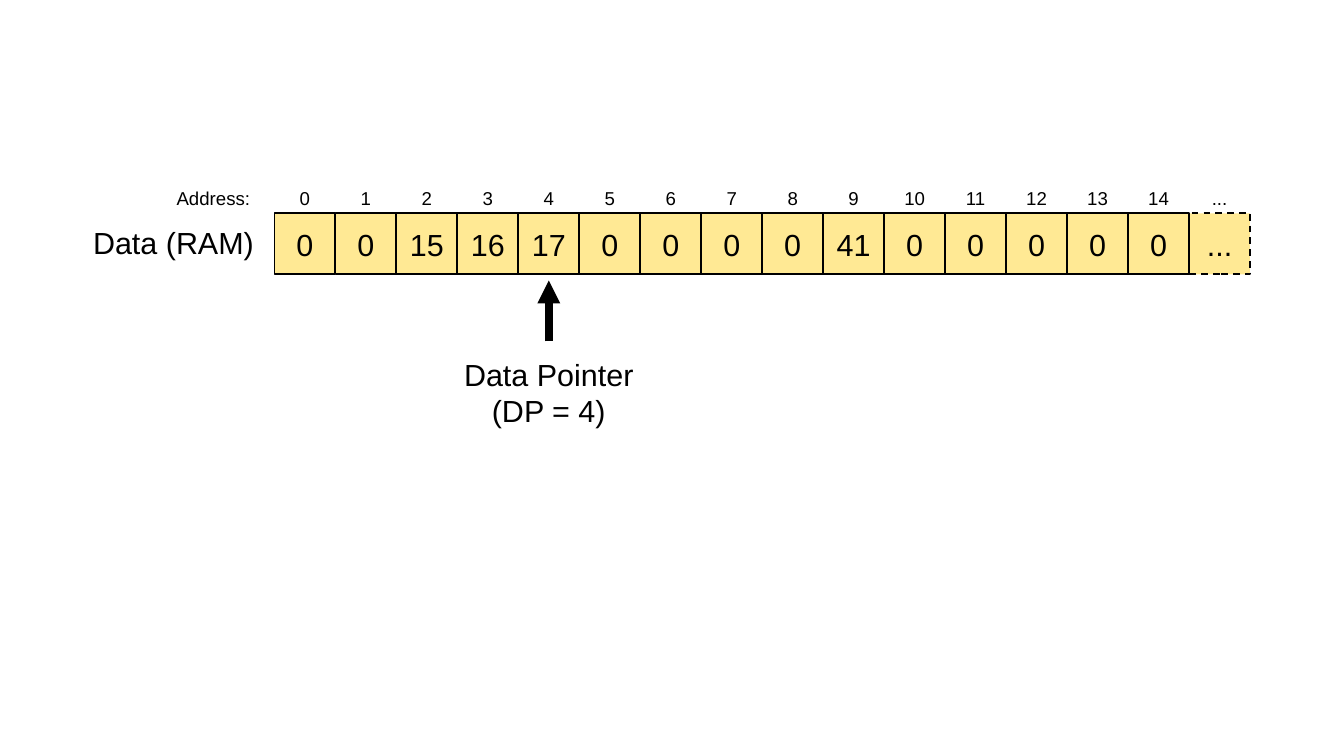
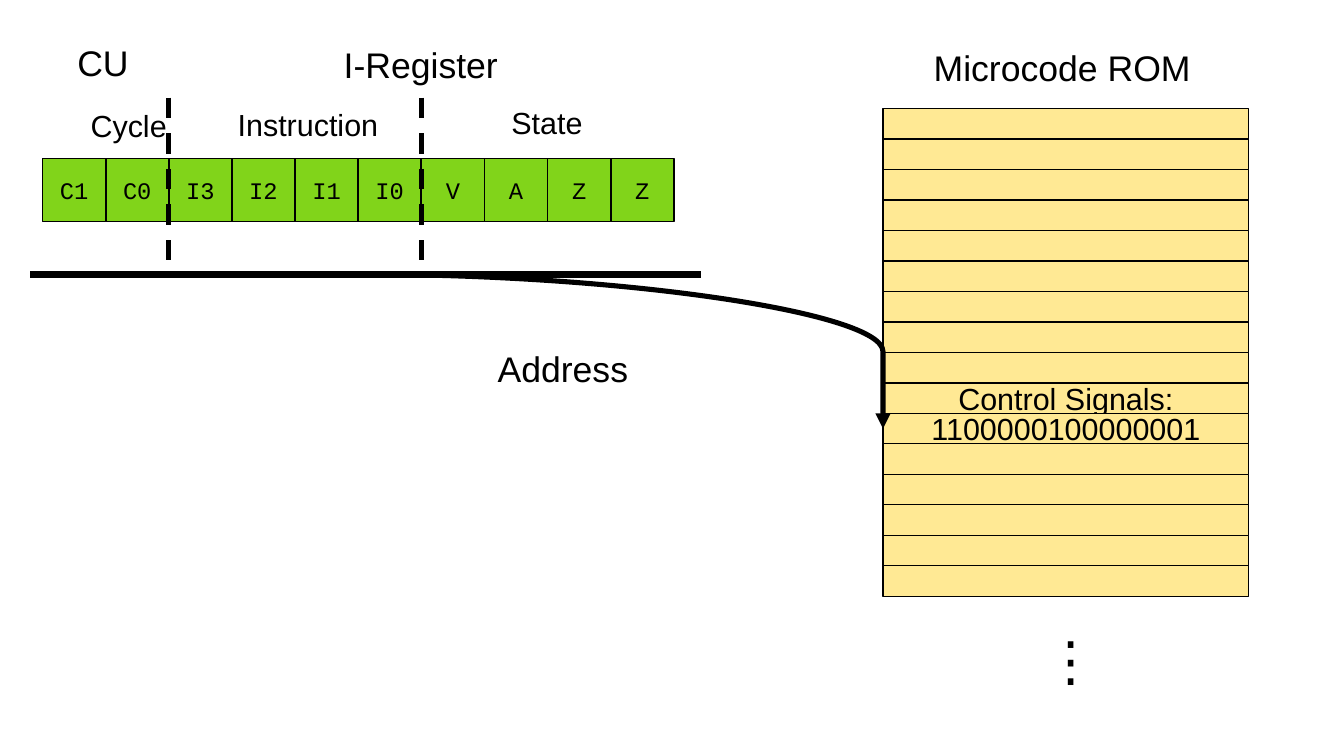
"""Builds two slides on memory: a RAM with its data pointer and a microcode ROM."""
from pptx import Presentation
from pptx.dml.color import RGBColor as Color
from pptx.enum.dml import MSO_LINE_DASH_STYLE as Dash
from pptx.enum.shapes import MSO_CONNECTOR as Connector, MSO_SHAPE as Shape
from pptx.enum.text import MSO_ANCHOR as Anchor, PP_ALIGN as Align
from pptx.oxml import parse_xml
from pptx.oxml.ns import nsdecls
from pptx.util import Inches, Pt

COLOURS = {"ink": "000000", "memory": "FFE994", "register": "81D41A"}
SANS, MONO = "Arial", "Courier New"
UNIT = 0.25
SMALL, BODY, HEADING, DOTS = 11, 18, 21, 32


def grid(*counts):
    """Turn counts of grid columns or rows into lengths."""
    return [Inches(count * UNIT) for count in counts]


def colour(name):
    """Look up a named colour."""
    return Color.from_string(COLOURS[name])


def write(frame, text, size, font=SANS):
    """Write centred text, one run per line."""
    frame.word_wrap = True
    para = frame.paragraphs[0]
    para.alignment = Align.CENTER
    for index, line in enumerate(text.split("\n")):
        if index:
            para.add_line_break()
        span = para.add_run()
        span.text = line
        span.font.size = Pt(size)
        span.font.name = font
        span.font.color.rgb = colour("ink")


def label(page, text, centre, top, width, size=BODY):
    """Add a text box centred on a grid column."""
    rows = 2.64 if "\n" in text else 1.8
    box = page.shapes.add_textbox(*grid(centre - width / 2, top, width, rows))
    write(box.text_frame, text, size)


def cell(shapes, place, fill, text="", size=BODY, font=SANS, weight=1, dash=None):
    """Add one memory cell."""
    box = shapes.add_shape(Shape.RECTANGLE, *grid(*place))
    box.shadow.inherit = False
    box.fill.solid()
    box.fill.fore_color.rgb = colour(fill)
    box.line.color.rgb = colour("ink")
    box.line.width = Pt(weight)
    if dash:
        box.line.dash_style = dash
    box.text_frame.vertical_anchor = Anchor.MIDDLE
    if text:
        write(box.text_frame, text, size, font)


def link(page, start, end, weight, kind=Connector.STRAIGHT, dash=None, arrow=False):
    """Add a line between two grid points."""
    line = page.shapes.add_connector(kind, *grid(*start, *end))
    line.line.color.rgb = colour("ink")
    line.line.width = Pt(weight)
    if dash:
        line.line.dash_style = dash
    if arrow:
        line.line._get_or_add_ln().append(
            parse_xml(f'<a:tailEnd {nsdecls("a")} type="triangle"/>'))
    line._element.spPr.append(parse_xml(f'<a:effectLst {nsdecls("a")}/>'))
    return line


def draw_ram(page):
    """Draw the addressed RAM cells and the data pointer."""
    values = [0, 0, 15, 16, 17, 0, 0, 0, 0, 41, 0, 0, 0, 0, 0]
    left, top, side, pointer = 9, 7, 2, 4
    last = len(values)
    cell(page.shapes, (left + last * side, top, side, side), "memory", "...", dash=Dash.DASH)
    for index, value in enumerate(values):
        cell(page.shapes, (left + index * side, top, side, side), "memory", str(value))
    for index, address in enumerate([*range(last), "..."]):
        label(page, str(address), left + (index + 0.5) * side, 5.92, side, SMALL)
    label(page, "Address:", 7, 5.92, 4, SMALL)
    label(page, "Data (RAM)", 5.69, 7.16, 7)
    centre = left + (pointer + 0.5) * side
    link(page, (centre, 11.2), (centre, 9.2), 4.5, arrow=True)
    label(page, f"Data Pointer\n(DP = {pointer})", centre, 11.48, 8)


def draw_register(page):
    """Draw the instruction register with its three fields."""
    left, top, side = 1.4, 5.2, 2.07
    group = page.shapes.add_group_shape()
    for index, bit in enumerate("C1 C0 I3 I2 I1 I0 V A Z Z".split()):
        cell(group.shapes, (left + index * side, top, side, side), "register", bit, 14, MONO)
    for count in (2, 6):
        border = left + count * side
        link(page, (border, 3.2), (border, 8.8), 3, dash=Dash.DASH)
    label(page, "CU", 3.38, 1.16, 4, HEADING)
    label(page, "I-Register", 13.8, 1.2, 8, HEADING)
    label(page, "Cycle", 4.22, 3.32, 5)
    label(page, "Instruction", 10.1, 3.28, 7)
    label(page, "State", 17.94, 3.2, 5)


def draw_rom(page):
    """Draw the microcode ROM and the address that selects a word."""
    left, top, width, count, selected = 28.96, 3.56, 12, 16, 10
    signals = {selected - 1: "Control Signals:", selected: "1100000100000001"}
    for index in range(count):
        cell(page.shapes, (left, top + index, width, 1), "memory",
             signals.get(index, ""), weight=0)
    label(page, "Microcode ROM", 34.84, 1.32, width, HEADING)
    label(page, "⋮", 35.12, 20.36, 3, DOTS)
    link(page, (1, 9), (23, 9), 4.5)
    curve = link(page, (12, 9), (left, top + selected + 0.5), 3, Connector.CURVE, arrow=True)
    curve._element.spPr.prstGeom.get_or_add_avLst().append(
        parse_xml(f'<a:gd {nsdecls("a")} name="adj1" fmla="val 100000"/>'))
    label(page, "Address", 18.46, 11.2, 7, HEADING)


def main():
    """Build and save the deck."""
    deck = Presentation()
    deck.slide_width, deck.slide_height = Inches(11.02), Inches(6.2)
    ram, microcode = [deck.slides.add_slide(deck.slide_layouts[6]) for _ in range(2)]
    draw_ram(ram)
    draw_register(microcode)
    draw_rom(microcode)
    deck.save("out.pptx")


if __name__ == "__main__":
    main()
